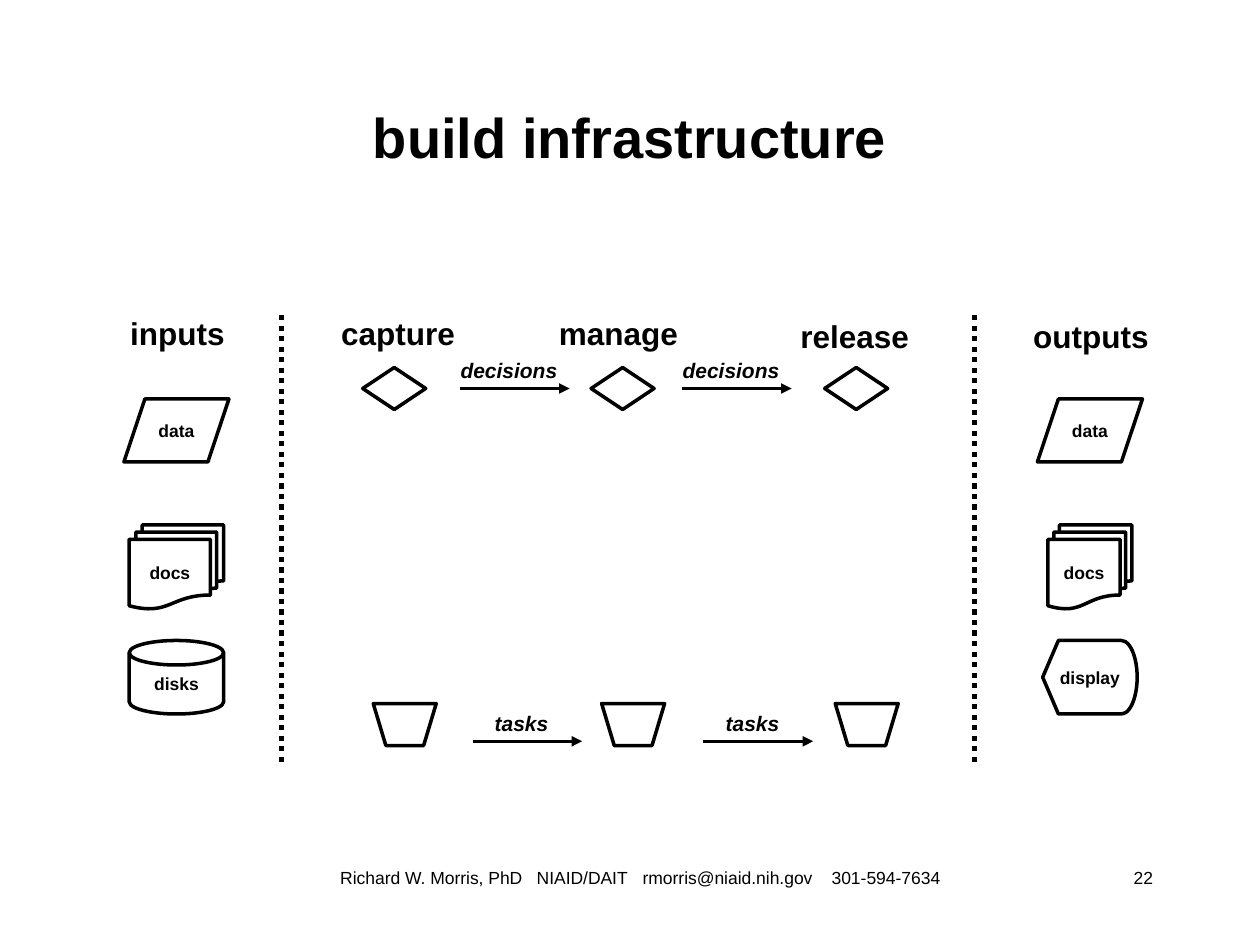
from lxml import etree
from pptx import Presentation, util as u
from pptx.dml.color import RGBColor
from pptx.enum import dml, shapes, text
from pptx.oxml.ns import qn

G = shapes.MSO_SHAPE
A = text.PP_ALIGN
V = text.MSO_ANCHOR


def rgb(value):
    return RGBColor.from_string(value)


def write(tf, words, size=10, bold=False, italic=False, align=A.CENTER,
          anchor=V.MIDDLE, wrap=False, grow=False, tabs=(), margin=0.1):
    tf.word_wrap = wrap
    tf.vertical_anchor = anchor
    tf.margin_left = u.Inches(margin)
    tf.auto_size = text.MSO_AUTO_SIZE.SHAPE_TO_FIT_TEXT if grow else text.MSO_AUTO_SIZE.NONE
    p = tf.paragraphs[0]
    p.alignment = align
    if tabs:
        stops = etree.SubElement(p._p.get_or_add_pPr(), qn("a:tabLst"))
        for stop in tabs:
            etree.SubElement(stops, qn("a:tab"), pos=str(u.Inches(stop)), algn="l")
    r = p.add_run()
    r.text = words
    f = r.font
    f.name, f.size, f.bold, f.italic = "Arial", u.Pt(size), bold, italic
    f.color.rgb = rgb(Board.ink)


class Board:
    ink, paper = "000000", "FFFFFF"
    columns, rows = 120, 90

    def __init__(self, prs):
        self.s = prs.slides.add_slide(prs.slide_layouts[5])
        self.column = prs.slide_width / self.columns
        self.row = prs.slide_height / self.rows

    def place(self, x, y, w, h):
        return [round(n) for n in (x * self.column, y * self.row, w * self.column, h * self.row)]

    def title(self, words, *box):
        sp = self.s.shapes.title
        sp.left, sp.top, sp.width, sp.height = self.place(*box)
        write(sp.text_frame, words, size=32, bold=True, wrap=True)

    def label(self, words, *box, **style):
        sp = self.s.shapes.add_textbox(*self.place(*box))
        write(sp.text_frame, words, **style)

    def symbol(self, kind, center, y, w, h, words=""):
        sp = self.s.shapes.add_shape(kind, *self.place(center - w / 2, y, w, h))
        sp.shadow.inherit = False
        sp.fill.solid()
        sp.fill.fore_color.rgb = rgb(self.paper)
        sp.line.color.rgb = rgb(self.ink)
        sp.line.width = u.Pt(2)
        if words:
            write(sp.text_frame, words, bold=True)

    def line(self, x1, y1, x2, y2, width=2, dash=None, arrow=False):
        sp = self.s.shapes.add_connector(shapes.MSO_CONNECTOR.STRAIGHT, *self.place(x1, y1, x2, y2))
        sp.line.color.rgb = rgb(self.ink)
        sp.line.width = u.Pt(width)
        if dash:
            sp.line.dash_style = dash
        if arrow:
            etree.SubElement(sp.line._get_or_add_ln(), qn("a:tailEnd"), type="triangle")
        etree.SubElement(sp._element.spPr, qn("a:effectLst"))

    def step(self, words, x, y, label_width):
        length = 10.45
        self.line(x, y, x + length, y, arrow=True)
        self.label(words, x + length / 2 - 0.55 - label_width / 2, y - 3.55, label_width, 3.6,
                   size=12, bold=True, italic=True, anchor=V.TOP, grow=True)


def main():
    prs = Presentation()
    prs.slide_width, prs.slide_height = u.Inches(10), u.Inches(7.5)
    board = Board(prs)
    board.title("build infrastructure", 9, 8, 102, 10)

    for words, x, y in (("inputs", 8.8, 29), ("capture", 29.8, 29), ("manage", 50.8, 29),
                        ("release", 73.3, 29.25), ("outputs", 95.8, 29.25)):
        board.label(words, x, y, 16.2, 5.4, size=18, bold=True)

    for center in (38.55, 60.3, 82.55):
        board.symbol(G.FLOWCHART_MANUAL_OPERATION, center, 67, 6, 4)
        board.symbol(G.FLOWCHART_DECISION, center - 1, 35, 6, 4)

    for center, docs_width, last, words in ((16.8, 9, G.FLOWCHART_MAGNETIC_DISK, "disks"),
                                            (103.8, 8, G.FLOWCHART_DISPLAY, "display")):
        board.symbol(G.FLOWCHART_DATA, center, 38, 10, 6, "data")
        board.symbol(G.FLOWCHART_MULTIDOCUMENT, center, 50, docs_width, 8, "docs")
        board.symbol(last, center, 61, 9, 7, words)

    for x in (26.8, 92.8):
        board.line(x, 30, x, 73, width=3, dash=dml.MSO_LINE.ROUND_DOT)

    for words, y, width, starts in (("decisions", 37, 12, (43.8, 64.95)),
                                    ("tasks", 70.6, 8.4, (45, 67))):
        for x in starts:
            board.step(words, x, y, width)

    board.label("Richard W. Morris, PhD\tNIAID/DAIT\trmorris@niaid.nih.gov\t301-594-7634",
                30, 82, 62, 6, align=A.LEFT, anchor=V.TOP, wrap=True,
                margin=0.2, tabs=(1.56, 2.4, 3.9))
    board.label("22", 92, 82, 19, 6, align=A.RIGHT, anchor=V.TOP, wrap=True)
    prs.save("out.pptx")


if __name__ == "__main__":
    main()
